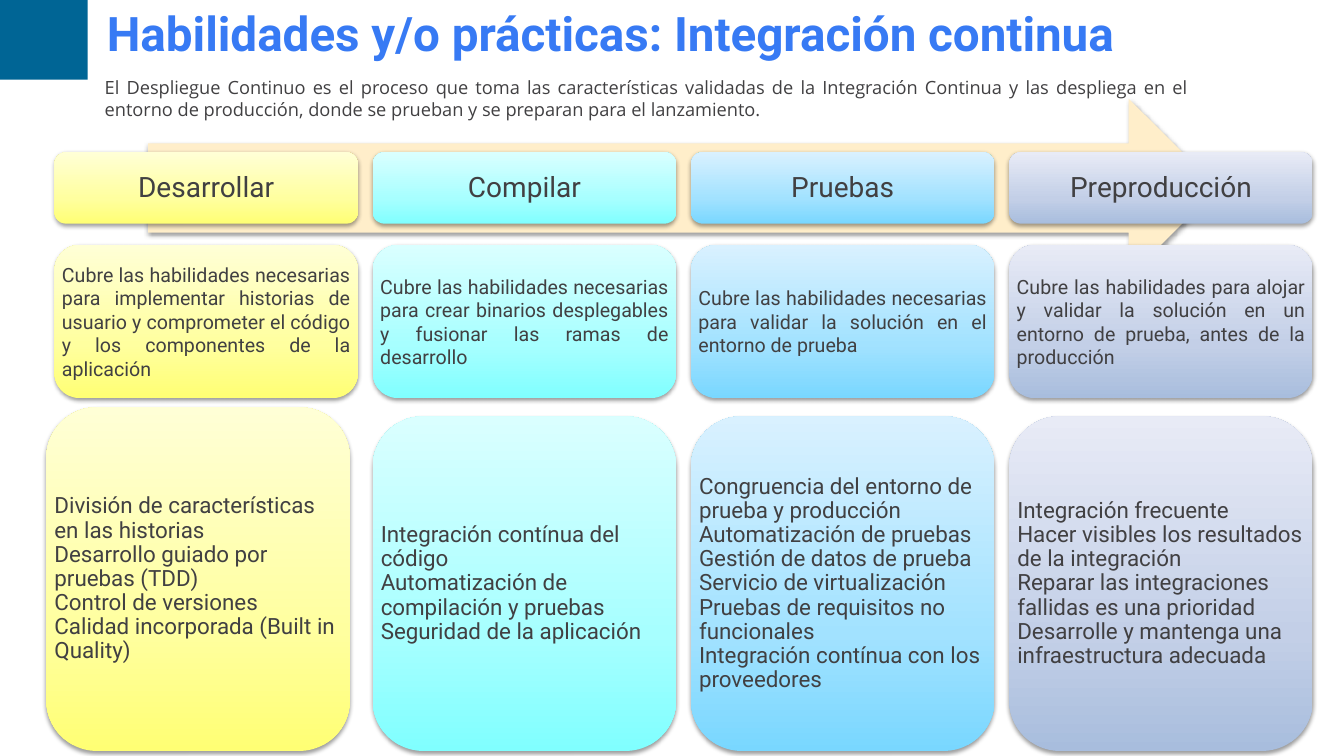
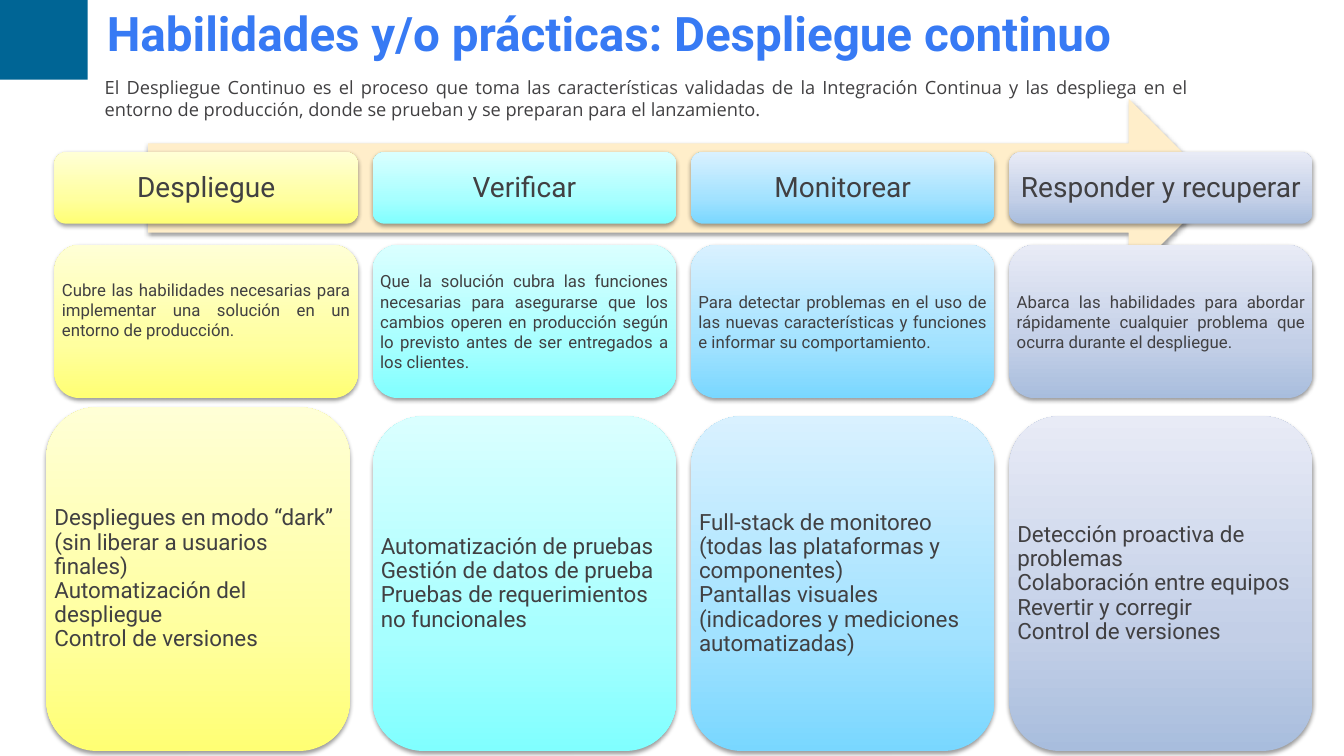
from copy import deepcopy

from pptx import Presentation
from pptx.dml.color import RGBColor
from pptx.enum.shapes import MSO_SHAPE
from pptx.enum.text import MSO_ANCHOR, MSO_AUTO_SIZE, PP_ALIGN
from pptx.oxml import parse_xml
from pptx.oxml.ns import nsdecls, qn
from pptx.util import Inches, Pt

RECTANGLE = MSO_SHAPE.RECTANGLE
ROUNDED = MSO_SHAPE.ROUNDED_RECTANGLE
RIGHT_ARROW = MSO_SHAPE.RIGHT_ARROW
TOP, MIDDLE = MSO_ANCHOR.TOP, MSO_ANCHOR.MIDDLE
LEFT, CENTER, JUSTIFY = PP_ALIGN.LEFT, PP_ALIGN.CENTER, PP_ALIGN.JUSTIFY
NO_AUTOFIT = MSO_AUTO_SIZE.NONE

# Shared look
TITLE_BLUE = RGBColor(0x37, 0x7A, 0xF4)
CORNER_BLUE = RGBColor(0x00, 0x65, 0x95)
ARROW_CREAM = RGBColor(0xFF, 0xEE, 0xCA)
TEXT_GRAY = RGBColor(0x41, 0x40, 0x42)
# Gradient of each column, from bottom to top
YELLOW = (RGBColor(0xFF, 0xFF, 0x74), RGBColor(0xFF, 0xFF, 0x9F), RGBColor(0xFF, 0xFF, 0xD6))
CYAN = (RGBColor(0x80, 0xFF, 0xFF), RGBColor(0xA7, 0xFF, 0xFF), RGBColor(0xDA, 0xFF, 0xFF))
SKY = (RGBColor(0x79, 0xD7, 0xFF), RGBColor(0xA2, 0xE2, 0xFF), RGBColor(0xD9, 0xF1, 0xFF))
LAVENDER = (RGBColor(0xA8, 0xBD, 0xDD), RGBColor(0xC3, 0xCF, 0xE7), RGBColor(0xE8, 0xEB, 0xF6))
COLUMN_COLORS = (YELLOW, CYAN, SKY, LAVENDER)
STOP_POSITIONS = (0, 0.35, 1)
HEADING_FONT, INTRO_FONT = "Roboto", "Open Sans"

# Column grid, in inches
FIRST_LEFT, LAST_LEFT, CARD_WIDTH = 0.54, 10.01, 3.01
COLUMN_STEP = (LAST_LEFT - FIRST_LEFT) / (len(COLUMN_COLORS) - 1)
PRACTICES_BOTTOM = 7.45

INTRO = (
    "El Despliegue Continuo es el proceso que toma las características validadas de la "
    "Integración Continua y las despliega en el entorno de producción, donde se prueban "
    "y se preparan para el lanzamiento."
)

# Each stage: name, description, practices
SLIDES = [
    {
        "title": "Habilidades y/o prácticas: Integración continua",
        "description_size": 14,
        "first_bottom_margin": 0,
        "stages": [
            ("Desarrollar",
             "Cubre las habilidades necesarias para implementar historias de usuario y "
             "comprometer el código y los componentes de la aplicación",
             ["División de características en las historias",
              "Desarrollo guiado por pruebas (TDD)",
              "Control de versiones",
              "Calidad incorporada (Built in Quality)"]),
            ("Compilar",
             "Cubre las habilidades necesarias para crear binarios desplegables y fusionar "
             "las ramas de desarrollo",
             ["Integración contínua del código",
              "Automatización de compilación y pruebas",
              "Seguridad de la aplicación"]),
            ("Pruebas",
             "Cubre las habilidades necesarias para validar la solución en el entorno de prueba",
             ["Congruencia del entorno de prueba y producción",
              "Automatización de pruebas",
              "Gestión de datos de prueba",
              "Servicio de virtualización",
              "Pruebas de requisitos no funcionales",
              "Integración contínua con los proveedores"]),
            ("Preproducción",
             "Cubre las habilidades para alojar y validar la solución en un entorno de "
             "prueba, antes de la producción",
             ["Integración frecuente",
              "Hacer visibles los resultados de la integración",
              "Reparar las integraciones fallidas es una prioridad",
              "Desarrolle y mantenga una infraestructura adecuada"]),
        ],
    },
    {
        "title": "Habilidades y/o prácticas: Despliegue continuo",
        "description_size": 12,
        "first_bottom_margin": 0.23,
        "stages": [
            ("Despliegue",
             "Cubre las habilidades necesarias para implementar una solución en un entorno "
             "de producción.",
             ["Despliegues en modo “dark” (sin liberar a usuarios finales)",
              "Automatización del despliegue",
              "Control de versiones"]),
            ("Verificar",
             "Que la solución cubra las funciones necesarias para asegurarse que los cambios "
             "operen en producción según lo previsto antes de ser entregados a los clientes.",
             ["Automatización de pruebas",
              "Gestión de datos de prueba",
              "Pruebas de requerimientos no funcionales"]),
            ("Monitorear",
             "Para detectar problemas en el uso de las nuevas características y funciones e "
             "informar su comportamiento.",
             ["Full-stack de monitoreo (todas las plataformas y componentes)",
              "Pantallas visuales (indicadores y mediciones automatizadas)"]),
            ("Responder y recuperar",
             "Abarca las habilidades para abordar rápidamente cualquier problema que ocurra "
             "durante el despliegue.",
             ["Detección proactiva de problemas",
              "Colaboración entre equipos",
              "Revertir y corregir",
              "Control de versiones"]),
        ],
    },
]


def add_block(slide, kind, left, top, width, height, colors, shadow=True):
    """Add a borderless shape, plain for one colour and graded for three."""
    block = slide.shapes.add_shape(
        kind, Inches(left), Inches(top), Inches(width), Inches(height))
    if len(colors) == 1:
        block.fill.solid()
        block.fill.fore_color.rgb = colors[0]
    else:
        block.fill.gradient()
        block.fill.gradient_angle = 90
        stop_list = block.element.spPr.find(".//" + qn("a:gsLst"))
        stop_list.append(deepcopy(stop_list[-1]))
        for stop, color, position in zip(block.fill.gradient_stops, colors, STOP_POSITIONS):
            stop.color.rgb = color
            stop.position = position
    block.line.fill.background()
    block.shadow.inherit = False
    if shadow:
        block.element.spPr.find(qn("a:effectLst")).append(parse_xml(
            f'<a:outerShdw {nsdecls("a")} blurRad="40000" dist="20000" dir="5400000" '
            'rotWithShape="0"><a:srgbClr val="000000"><a:alpha val="38000"/></a:srgbClr>'
            '</a:outerShdw>'))
    return block


def write(holder, lines, size, align, margins, font=HEADING_FONT, color=TEXT_GRAY,
          anchor=MIDDLE, spacing=1.0, bold=False):
    """Fill a text frame with one paragraph per line; margins are (sides, ends)."""
    frame = holder.text_frame
    frame.word_wrap = True
    frame.auto_size = NO_AUTOFIT
    frame.vertical_anchor = anchor
    frame.margin_left = frame.margin_right = Inches(margins[0])
    frame.margin_top = frame.margin_bottom = Inches(margins[1])
    frame.text = "\n".join(lines)
    for paragraph in frame.paragraphs:
        paragraph.alignment = align
        paragraph.line_spacing = spacing
        paragraph.font.name = font
        paragraph.font.size = Pt(size)
        paragraph.font.bold = bold
        paragraph.font.color.rgb = color


deck = Presentation()
deck.slide_width, deck.slide_height = Inches(13.33), Inches(7.5)
title_only = deck.slide_layouts[5]

for content in SLIDES:
    slide = deck.slides.add_slide(title_only)

    # Corner band and title
    add_block(slide, RECTANGLE, 0, 0, 0.87, 0.79, [CORNER_BLUE], shadow=False)
    title = slide.shapes.title
    title.left, title.top = Inches(0.93), Inches(-0.03)
    title.width, title.height = Inches(12.2), Inches(0.71)
    write(title, [content["title"]], 34, LEFT, (0.13, 0.07), color=TITLE_BLUE,
          anchor=TOP, bold=True)

    # Arrow behind the stage names
    add_block(slide, RIGHT_ARROW, 1.47, 0.98, 10.61, 1.77, [ARROW_CREAM])

    # One column per stage
    for column, (name, description, practices) in enumerate(content["stages"]):
        colors = COLUMN_COLORS[column]
        left = FIRST_LEFT + column * COLUMN_STEP

        stage = add_block(slide, ROUNDED, left, 1.51, CARD_WIDTH, 0.71, colors)
        write(stage, [name], 20, CENTER, (0.04, 0.04), spacing=0.9)

        summary = add_block(slide, ROUNDED, left, 2.43, CARD_WIDTH, 1.52, colors)
        write(summary, [description], content["description_size"], JUSTIFY, (0, 0))
        if column == 0:
            summary.text_frame.margin_bottom = Inches(content["first_bottom_margin"])

        # The first practices card stands slightly up and to the left
        card_left, card_top = (left - 0.08, 4.04) if column == 0 else (left, 4.13)
        card_height = PRACTICES_BOTTOM - card_top
        add_block(slide, ROUNDED, card_left, card_top, CARD_WIDTH, card_height, colors)
        practice_list = slide.shapes.add_textbox(
            Inches(card_left + 0.04), Inches(card_top),
            Inches(CARD_WIDTH - 0.08), Inches(card_height))
        write(practice_list, practices, 16, LEFT, (0.04, 0.04), spacing=0.9)

    # Introduction, above the arrow head
    intro = slide.shapes.add_textbox(Inches(0.94), Inches(0.66), Inches(10.93), Inches(0.64))
    write(intro, [INTRO], 13, JUSTIFY, (0.1, 0.1), font=INTRO_FONT, anchor=TOP)

deck.save("out.pptx")
